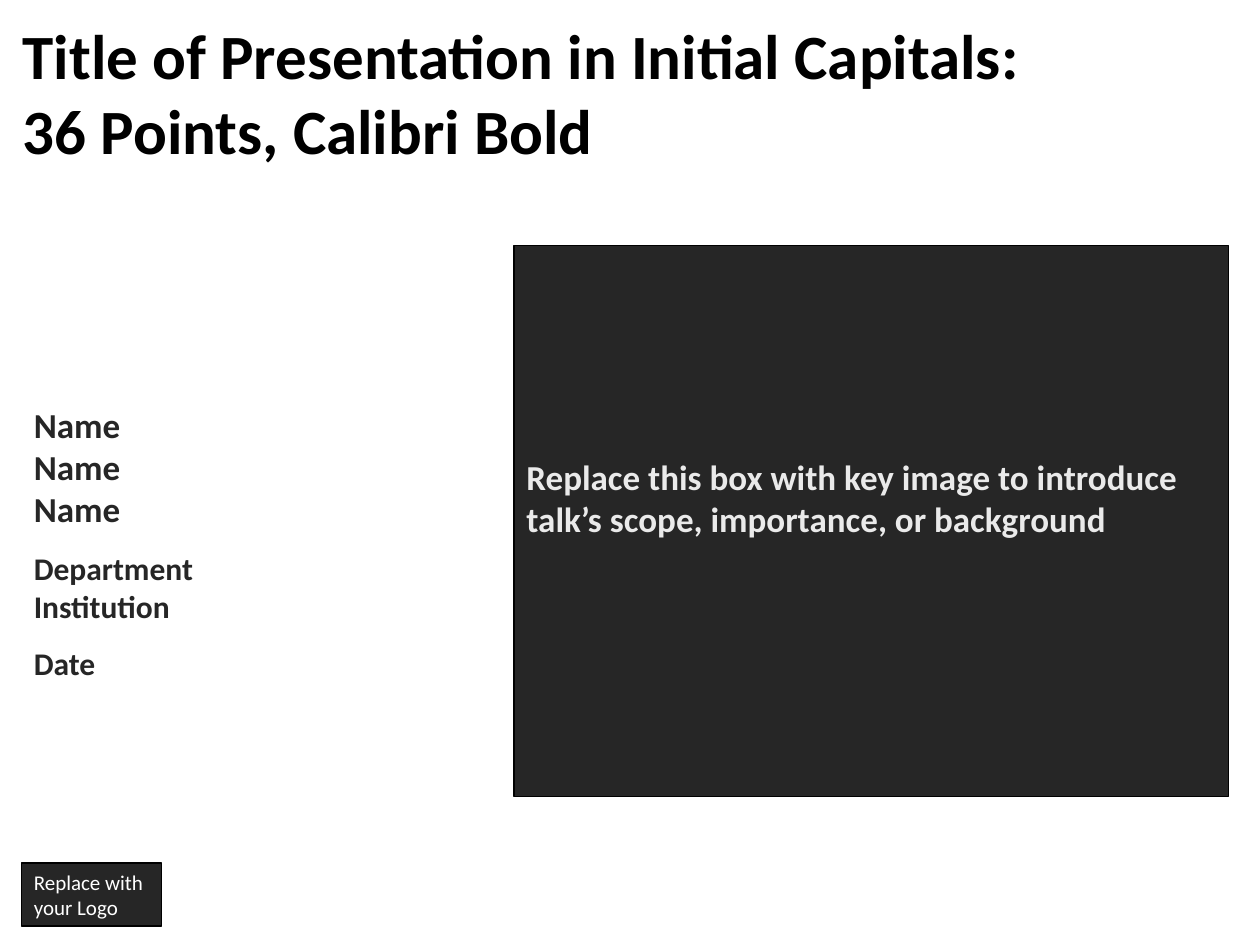
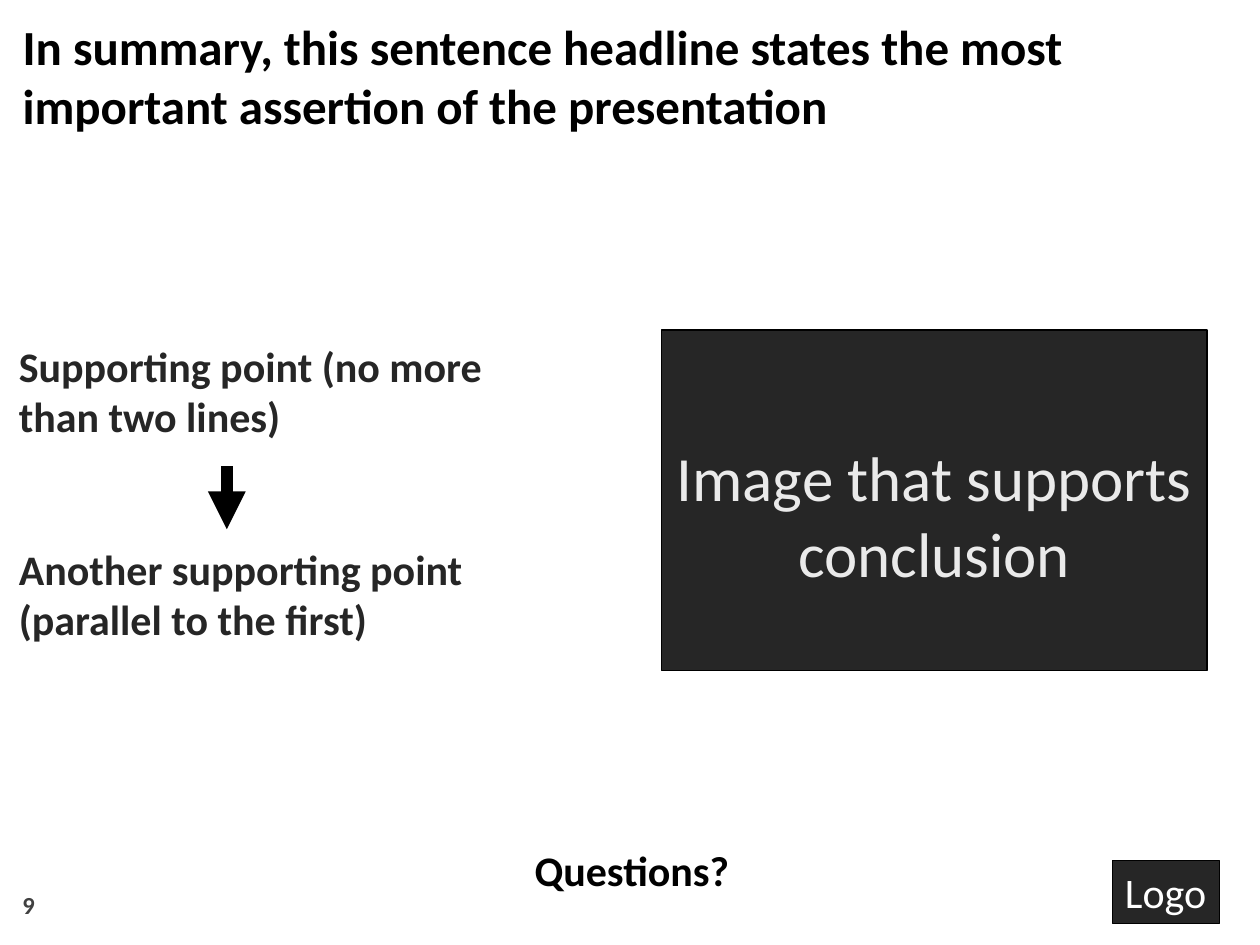
from dataclasses import dataclass

from lxml import etree
from pptx import Presentation
from pptx.dml.color import RGBColor
from pptx.enum.shapes import MSO_CONNECTOR, MSO_SHAPE
from pptx.enum.text import MSO_ANCHOR, MSO_AUTO_SIZE, PP_ALIGN
from pptx.oxml.ns import qn
from pptx.util import Inches, Pt

LEFT, CENTER = PP_ALIGN.LEFT, PP_ALIGN.CENTER
TOP, MIDDLE, BOTTOM = MSO_ANCHOR.TOP, MSO_ANCHOR.MIDDLE, MSO_ANCHOR.BOTTOM
NO_AUTO_SIZE = MSO_AUTO_SIZE.NONE
RECTANGLE = MSO_SHAPE.RECTANGLE
STRAIGHT = MSO_CONNECTOR.STRAIGHT

FONT = "Calibri"
BLACK, WHITE, DARK, GRAY, PALE = "000000", "FFFFFF", "262626", "404040", "EAEAEA"
TITLE_ONLY_LAYOUT = 5


@dataclass(frozen=True)
class Line:
    """One paragraph with its size and the space above it, in points."""
    text: str
    size: float
    space_before: float = 0


@dataclass(frozen=True)
class Block:
    """A text area: place and insets in inches, then its text style."""
    place: tuple[float, float, float, float]
    lines: tuple[Line, ...]
    color: str = DARK
    bold: bool = True
    align: PP_ALIGN = LEFT
    anchor: MSO_ANCHOR = TOP
    insets: tuple[float, float, float, float] = (0.1, 0.05, 0.1, 0.05)
    wrap: bool = True


def rgb(value: str) -> RGBColor:
    """Turn a hex string into a colour."""
    return RGBColor.from_string(value)


def apply_format(target, values: dict) -> None:
    """Set every attribute named in values."""
    for name, value in values.items():
        setattr(target, name, value)


def fill_text(shape, block: Block) -> None:
    """Write the block's paragraphs into a shape."""
    frame = shape.text_frame
    sides = ("margin_left", "margin_top", "margin_right", "margin_bottom")
    apply_format(frame, {
        "auto_size": NO_AUTO_SIZE,
        "word_wrap": block.wrap,
        "vertical_anchor": block.anchor,
        **{side: Inches(inset) for side, inset in zip(sides, block.insets)},
    })
    for index, line in enumerate(block.lines):
        paragraph = frame.add_paragraph() if index else frame.paragraphs[0]
        paragraph.text = line.text
        paragraph.alignment = block.align
        if line.space_before:
            paragraph.space_before = Pt(line.space_before)
        apply_format(paragraph.font, {"name": FONT, "size": Pt(line.size), "bold": block.bold})
        paragraph.font.color.rgb = rgb(block.color)


def add_text(slide, block: Block) -> None:
    """Add a text box."""
    fill_text(slide.shapes.add_textbox(*map(Inches, block.place)), block)


def add_dark_box(slide, block: Block) -> None:
    """Add a dark rectangle with a thin black outline."""
    shape = slide.shapes.add_shape(RECTANGLE, *map(Inches, block.place))
    shape.shadow.inherit = False
    shape.fill.solid()
    shape.fill.fore_color.rgb = rgb(DARK)
    shape.line.color.rgb = rgb(BLACK)
    shape.line.width = Pt(0.75)
    fill_text(shape, block)


def add_arrow(slide, start: tuple[float, float], end: tuple[float, float], width: float) -> None:
    """Add a black arrow from start to end."""
    connector = slide.shapes.add_connector(STRAIGHT, *map(Inches, start + end))
    connector.line.color.rgb = rgb(BLACK)
    connector.line.width = Pt(width)
    properties = connector._element.spPr
    etree.SubElement(properties.find(qn("a:ln")), qn("a:tailEnd"), type="triangle")
    etree.SubElement(properties, qn("a:effectLst"))


def add_slide(presentation, title: Block):
    """Add a titled slide on a white background."""
    slide = presentation.slides.add_slide(presentation.slide_layouts[TITLE_ONLY_LAYOUT])
    slide.background.fill.solid()
    slide.background.fill.fore_color.rgb = rgb(WHITE)
    places = zip(("left", "top", "width", "height"), map(Inches, title.place))
    apply_format(slide.shapes.title, dict(places))
    fill_text(slide.shapes.title, title)
    return slide


def build_opening(presentation) -> None:
    """Build the opening slide with speakers and a key image box."""
    slide = add_slide(presentation, Block(
        (0.08, 0.08, 8.13, 1.3),
        (Line("Title of Presentation in Initial Capitals:", 36),
         Line("36 Points, Calibri Bold", 36)),
        color=BLACK, wrap=False))
    add_text(slide, Block(
        (0.17, 3.17, 3.67, 2.27),
        (Line("Name", 20),) * 3 + (
            Line("Department", 18, 11.2), Line("Institution", 18), Line("Date", 18, 11.2)),
        insets=(0.1, 0.03, 0.1, 0.03)))
    add_dark_box(slide, Block(
        (4.08, 1.95, 5.67, 4.37),
        (Line("Replace this box with key image to introduce talk’s scope, "
              "importance, or background", 20),),
        color=PALE, anchor=MIDDLE, insets=(0.1, 0.05, 0.1, 0.42)))
    add_dark_box(slide, Block(
        (0.17, 6.85, 1.11, 0.5),
        (Line("Replace with", 12), Line("your Logo", 12)),
        color=WHITE, bold=False, wrap=False))


def build_summary(presentation) -> None:
    """Build the summary slide with two linked points and an image box."""
    slide = add_slide(presentation, Block(
        (0.08, 0.08, 9.84, 1.04),
        (Line("In summary, this sentence headline states the most "
              "important assertion of the presentation", 28),),
        color=BLACK))
    add_text(slide, Block(
        (0.08, 6.95, 2.33, 0.4), (Line("9", 14),), color=GRAY, anchor=BOTTOM))
    add_text(slide, Block(
        (0.08, 2.67, 4.17, 2.46),
        (Line("Supporting point (no more than two lines)", 24),
         Line("Another supporting point (parallel to the first)", 24, 58.5)),
        insets=(0.07, 0.03, 0.07, 0.03)))
    add_dark_box(slide, Block(
        (5.25, 2.62, 4.33, 2.7),
        (Line("Image that supports conclusion", 36),),
        color=PALE, bold=False, align=CENTER, anchor=MIDDLE, insets=(0.1, 0.27, 0.1, 0.05)))
    add_text(slide, Block(
        (4.14, 6.65, 1.75, 0.5), (Line("Questions?", 24),),
        color=BLACK, align=CENTER, wrap=False))
    add_dark_box(slide, Block(
        (8.83, 6.83, 0.85, 0.5), (Line("Logo", 24),),
        color=WHITE, bold=False, wrap=False))
    add_arrow(slide, (1.8, 3.7), (1.8, 4.2), 7.2)


def main() -> None:
    """Build and save the presentation."""
    presentation = Presentation()
    apply_format(presentation, {"slide_width": Inches(10), "slide_height": Inches(7.5)})
    build_opening(presentation)
    build_summary(presentation)
    presentation.save("out.pptx")


if __name__ == "__main__":
    main()
